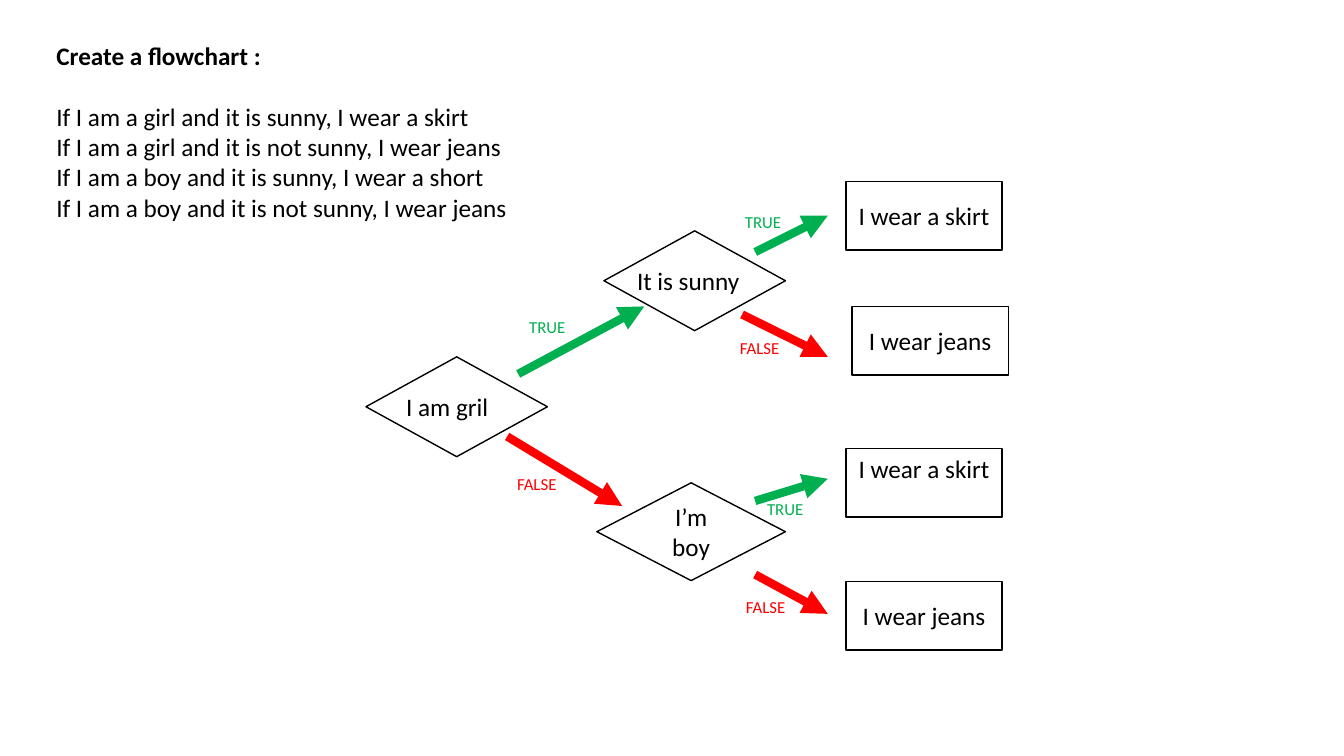
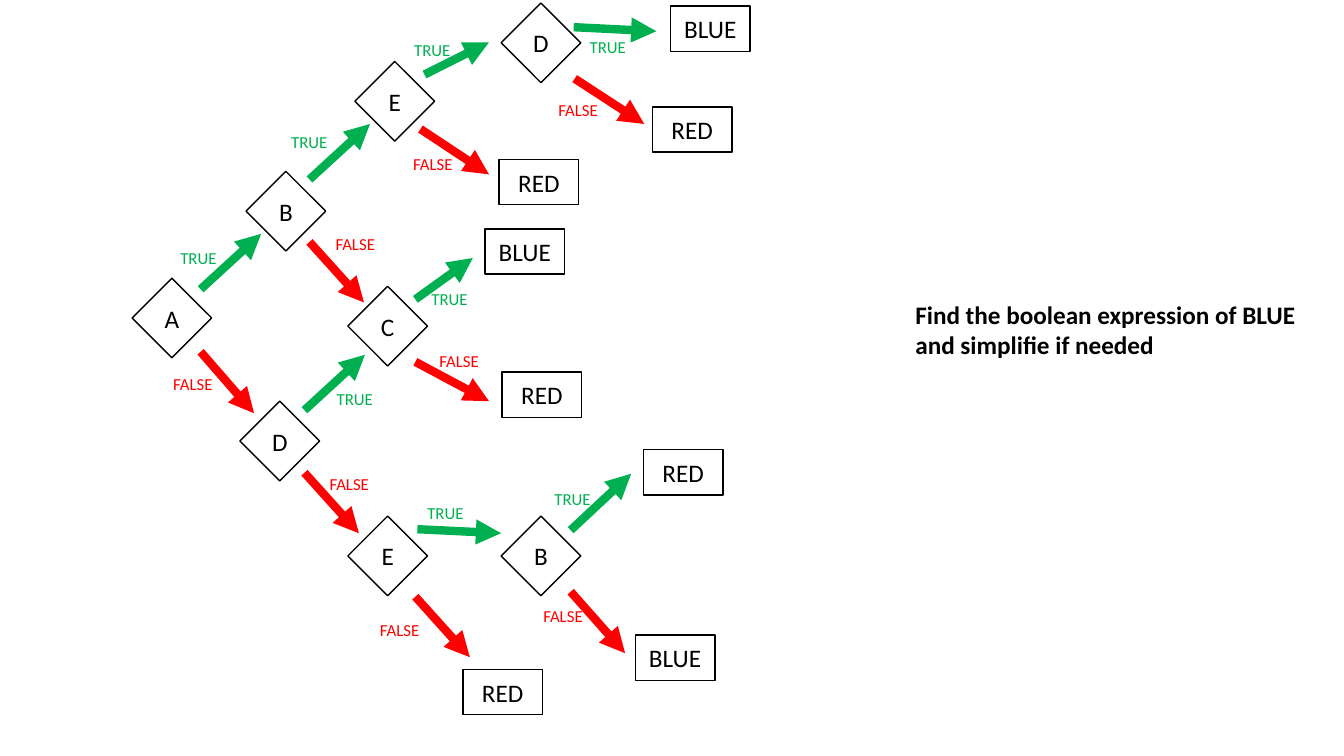
from lxml import etree
from pptx import Presentation
from pptx.dml.color import RGBColor
from pptx.enum.shapes import MSO_CONNECTOR as Connector, MSO_SHAPE as Shape
from pptx.enum.text import MSO_ANCHOR as Anchor, MSO_AUTO_SIZE as AutoSize, PP_ALIGN as Align
from pptx.oxml.ns import qn
from pptx.util import Inches, Pt

FONT = "Calibri"
COLORS = {"ink": "000000", "TRUE": "00B050", "FALSE": "FF0000"}
LABEL_SIZES = {"TRUE": (0.57, 0.3), "FALSE": (0.66, 0.3)}

# Slide 1: what to wear
RULES = [
    "Create a flowchart :",
    "If I am a girl and it is sunny, I wear a skirt",
    "If I am a girl and it is not sunny, I wear jeans",
    "If I am a boy and it is sunny, I wear a short",
    "If I am a boy and it is not sunny, I wear jeans",
]
CLOTHES_DECISIONS = [  # text, left, top, width, height
    ("", 3.63, 3.54, 1.8, 0.99),
    ("", 5.99, 2.29, 1.8, 0.99),
    ("I’m boy", 5.92, 4.79, 1.87, 0.97),
]
CLOTHES_QUESTIONS = [  # wider than the text area of their diamonds
    ("I am gril", 3.93, 3.83, 1.1, 0.41),
    ("It is sunny", 6.22, 2.58, 1.37, 0.4),
]
CLOTHES_SIZE = (1.55, 0.68)
CLOTHES_RESULTS = [  # text, left, top, anchor
    ("I wear a skirt", 8.39, 1.8, Anchor.MIDDLE),
    ("I wear jeans", 8.45, 3.04, Anchor.MIDDLE),
    ("I wear a skirt", 8.39, 4.45, Anchor.TOP),
    ("I wear jeans", 8.39, 5.77, Anchor.MIDDLE),
]
CLOTHES_BRANCHES = [  # outcome, arrow start, arrow end, label corner
    ("TRUE", (5.14, 3.71), (6.39, 3.04), (5.15, 3.09)),
    ("FALSE", (5.03, 4.33), (6.17, 5.02), (5.03, 4.65)),
    ("TRUE", (7.49, 2.5), (8.21, 2.14), (7.29, 2.05)),
    ("FALSE", (7.36, 3.12), (8.21, 3.54), (7.24, 3.3)),
    ("TRUE", (7.49, 4.97), (8.21, 4.75), (7.51, 4.9)),
    ("FALSE", (7.49, 5.7), (8.21, 6.09), (7.3, 5.87)),
]

# Slide 2: boolean expression
TASK = "Find the boolean expression of BLUE and simplifie if needed"
LETTER_SIZE = (0.79, 0.79)
LETTERS = [  # text, left, top
    ("A", 1.31, 2.76), ("B", 2.44, 1.7), ("D", 2.38, 3.98), ("C", 3.45, 2.84),
    ("E", 3.52, 0.61), ("D", 4.97, 0.03), ("E", 3.45, 5.12), ("B", 4.97, 5.12),
]
COLOR_SIZE = (0.79, 0.45)
COLOR_RESULTS = [  # text, left, top
    ("BLUE", 6.65, 0.06), ("RED", 6.47, 1.06), ("RED", 4.95, 1.58), ("BLUE", 4.81, 2.27),
    ("RED", 4.98, 3.69), ("RED", 6.38, 4.46), ("BLUE", 6.3, 6.3), ("RED", 4.59, 6.64),
]
LETTER_BRANCHES = [  # outcome, arrow start, arrow end, label corner
    ("TRUE", (1.99, 2.87), (2.59, 2.32), (1.69, 2.41)),
    ("FALSE", (1.99, 3.49), (2.52, 4.1), (1.62, 3.66)),
    ("TRUE", (3.07, 1.78), (3.67, 1.23), (2.79, 1.26)),
    ("FALSE", (3.07, 2.4), (3.61, 3), (3.23, 2.27)),
    ("TRUE", (3.02, 4.07), (3.62, 3.52), (3.24, 3.81)),
    ("FALSE", (3.02, 4.69), (3.56, 5.29), (3.17, 4.65)),
    ("TRUE", (4.12, 2.97), (4.69, 2.56), (4.18, 2.82)),
    ("FALSE", (4.12, 3.59), (4.85, 3.98), (4.26, 3.43)),
    ("TRUE", (4.21, 0.74), (4.85, 0.42), (4.01, 0.35)),
    ("FALSE", (4.17, 1.28), (4.85, 1.73), (4, 1.48)),
    ("TRUE", (5.69, 0.27), (6.51, 0.31), (5.75, 0.32)),
    ("FALSE", (5.7, 0.78), (6.39, 1.23), (5.44, 0.94)),
    ("TRUE", (4.14, 5.25), (4.97, 5.29), (4.14, 4.94)),
    ("FALSE", (4.12, 5.92), (4.66, 6.52), (3.67, 6.1)),
    ("TRUE", (5.66, 5.26), (6.26, 4.7), (5.4, 4.8)),
    ("FALSE", (5.66, 5.87), (6.2, 6.48), (5.29, 5.96)),
]


def inches(*values):
    return [Inches(value) for value in values]


def write(frame, *lines, size=18, color="ink", bold=False, align=Align.LEFT,
          anchor=Anchor.TOP, wrap=True):
    frame.word_wrap = wrap
    frame.vertical_anchor = anchor
    for index, line in enumerate(lines):
        paragraph = frame.add_paragraph() if index else frame.paragraphs[0]
        paragraph.text = line
        paragraph.alignment = align
        font = paragraph.runs[0].font
        font.name, font.size, font.bold = FONT, Pt(size), bold
        font.color.rgb = RGBColor.from_string(COLORS[color])


def add_text(slide, box, *lines, **style):
    frame = slide.shapes.add_textbox(*inches(*box)).text_frame
    write(frame, *lines, **style)
    frame.auto_size = AutoSize.SHAPE_TO_FIT_TEXT
    return frame


def add_node(slide, kind, box, text, anchor=Anchor.MIDDLE):
    shape = slide.shapes.add_shape(kind, *inches(*box))
    shape.shadow.inherit = False
    shape.fill.background()
    shape.line.color.rgb = RGBColor.from_string(COLORS["ink"])
    shape.line.width = Pt(1)
    if text:
        write(shape.text_frame, text, align=Align.CENTER, anchor=anchor)


def add_branch(slide, outcome, start, end, corner):
    arrow = slide.shapes.add_connector(Connector.STRAIGHT, *inches(*start, *end))
    arrow.line.color.rgb = RGBColor.from_string(COLORS[outcome])
    arrow.line.width = Pt(6)
    etree.SubElement(arrow.line._get_or_add_ln(), qn("a:tailEnd"), type="triangle")
    etree.SubElement(arrow._element.spPr, qn("a:effectLst"))
    add_text(slide, corner + LABEL_SIZES[outcome], outcome, size=12, color=outcome, wrap=False)


def build_clothes(slide):
    rules = add_text(slide, (0.46, 0.35, 4.72, 1.92), *RULES, wrap=False)
    heading = rules.paragraphs[0]
    heading.runs[0].font.bold = True
    heading.space_after = Pt(22)
    for text, *box in CLOTHES_DECISIONS:
        add_node(slide, Shape.FLOWCHART_DECISION, box, text)
    for text, left, top, anchor in CLOTHES_RESULTS:
        add_node(slide, Shape.RECTANGLE, (left, top, *CLOTHES_SIZE), text, anchor)
    for branch in CLOTHES_BRANCHES:
        add_branch(slide, *branch)
    for text, *box in CLOTHES_QUESTIONS:
        add_text(slide, box, text)


def build_letters(slide):
    for text, left, top in LETTERS:
        add_node(slide, Shape.FLOWCHART_DECISION, (left, top, *LETTER_SIZE), text)
    for text, left, top in COLOR_RESULTS:
        add_node(slide, Shape.RECTANGLE, (left, top, *COLOR_SIZE), text)
    for branch in LETTER_BRANCHES:
        add_branch(slide, *branch)
    add_text(slide, (8.98, 2.92, 4.19, 0.71), TASK, bold=True)


def main():
    presentation = Presentation()
    presentation.slide_width, presentation.slide_height = inches(13.33, 7.5)
    for build in (build_clothes, build_letters):
        build(presentation.slides.add_slide(presentation.slide_layouts[6]))
    presentation.save("out.pptx")


if __name__ == "__main__":
    main()
